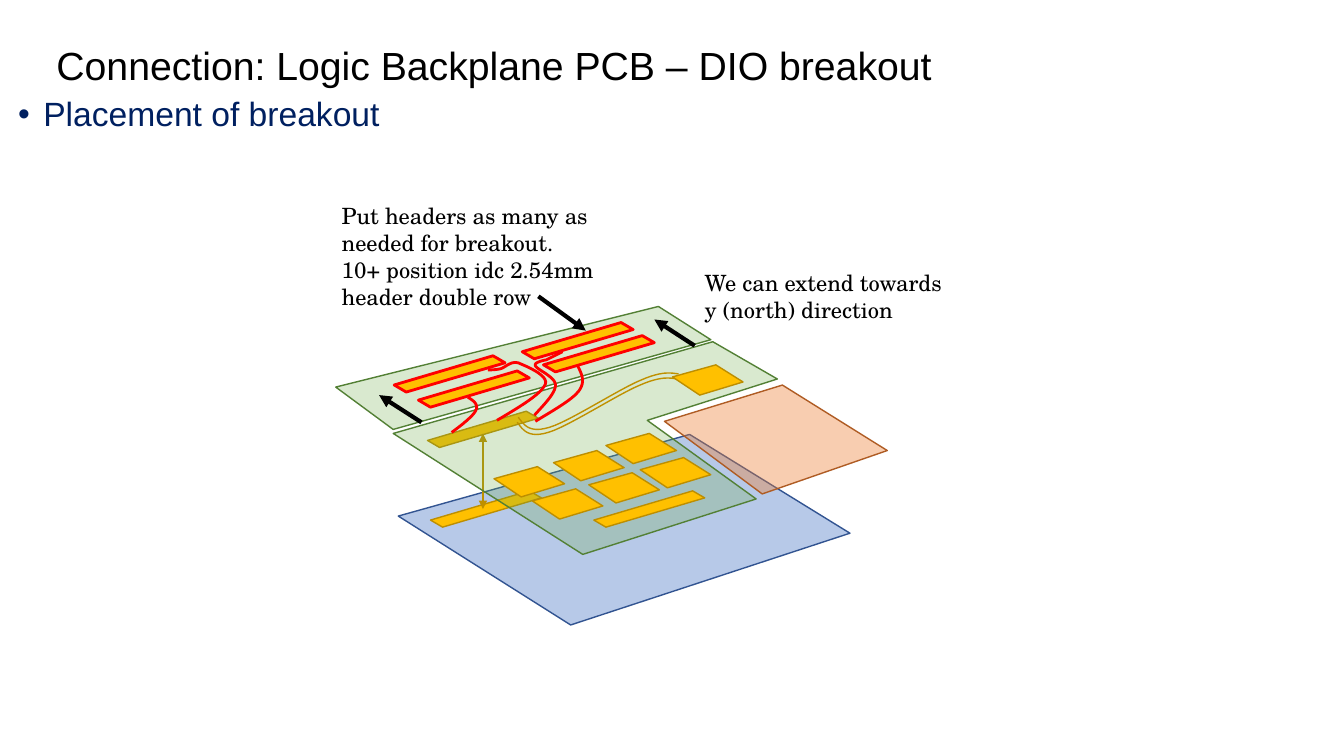
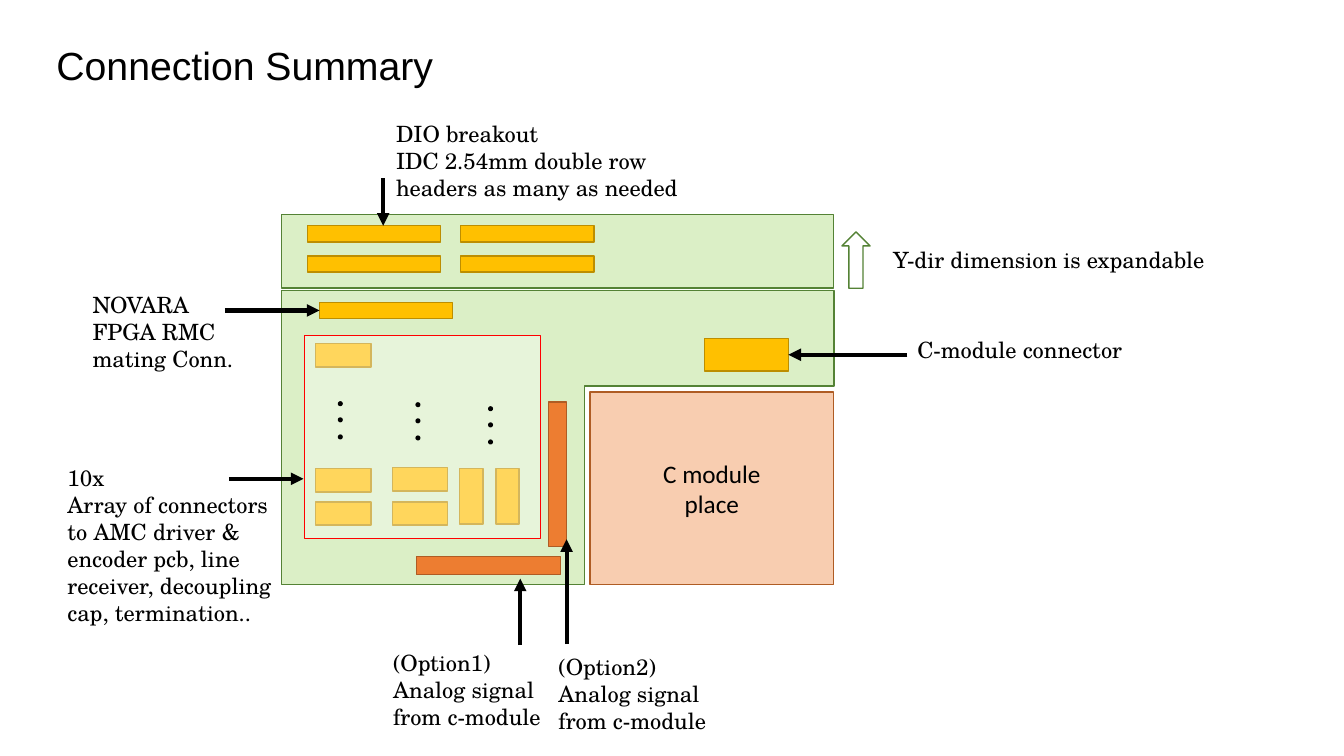
"""Builds the two connection slides of the logic backplane deck."""
from lxml import etree
from pptx import Presentation
from pptx import util as u
from pptx.dml.color import RGBColor
from pptx.enum import shapes, text
from pptx.oxml.ns import qn

PX = u.Inches(0.01)

BLACK, WHITE, RED, NAVY = "000000", "FFFFFF", "FF0000", "002060"
GOLD, GOLD_EDGE, WIRE = "FFC000", "BD8E00", "BF9000"
BLUE, BLUE_EDGE = "4472C4", "325491"
ORANGE, ORANGE_EDGE = "ED7D31", "AF5C24"
GREEN, GREEN_EDGE = "70AD47", "538035"
LIME, LIME_EDGE = "92D050", "548235"

PAD = [(0, 12), (27, 30), (70, 17), (43, 0)]
STRIP = [(0, 29), (98, 0), (110, 7), (12, 36)]


def rgb(code):
    return RGBColor.from_string(code)


def px(*lengths):
    return [round(length * PX) for length in lengths]


def write(frame, words, size=16, font="TeX Gyre Schola", color=BLACK,
          align=text.PP_ALIGN.LEFT, anchor=text.MSO_ANCHOR.TOP, spacing=1.0):
    frame.word_wrap = True
    frame.auto_size = text.MSO_AUTO_SIZE.NONE
    frame.vertical_anchor = anchor
    for index, line in enumerate(words.split("\n")):
        para = frame.add_paragraph() if index else frame.paragraphs[0]
        para.text = line
        para.alignment = align
        para.line_spacing = spacing
        para.space_before = u.Pt(0)
        for span in para.runs:
            span.font.size = u.Pt(size)
            span.font.name = font
            span.font.color.rgb = rgb(color)


def bezier(start, segments, steps=12):
    points = [start]
    for first, second, end in segments:
        origin = points[-1]
        for step in range(1, steps + 1):
            t = step / steps
            s = 1 - t
            points.append(tuple(
                s**3 * a + 3 * s * s * t * b + 3 * s * t * t * c + t**3 * d
                for a, b, c, d in zip(origin, first, second, end)))
    return points


class Sheet:
    def __init__(self):
        self.deck = Presentation()
        self.deck.slide_width, self.deck.slide_height = px(1333, 750)
        self.page = None

    def start(self, title, layout):
        self.page = self.deck.slides.add_slide(self.deck.slide_layouts[layout])
        box = self.page.shapes.title
        self.place(box, 46, 39, 1240, 57)
        write(box.text_frame, title, size=28, font="Arial", spacing=0.9,
              anchor=text.MSO_ANCHOR.MIDDLE)

    def place(self, box, *area):
        box.left, box.top, box.width, box.height = px(*area)

    def bullets(self, words, *area):
        box = self.page.placeholders[1]
        self.place(box, *area)
        write(box.text_frame, words, size=24, font="Arial", color=NAVY, spacing=0.9)
        for para in box.text_frame.paragraphs:
            props = para._p.get_or_add_pPr()
            props.set("marL", str(25 * PX))
            props.set("indent", str(-25 * PX))
            etree.SubElement(props, qn("a:buFont")).set("typeface", "Arial")
            etree.SubElement(props, qn("a:buChar")).set("char", "•")

    def note(self, words, *area):
        box = self.page.shapes.add_textbox(*px(*area))
        write(box.text_frame, words)

    def paint(self, shape, fill, edge, width=1, opacity=None):
        shape.shadow.inherit = False
        if fill:
            shape.fill.solid()
            shape.fill.fore_color.rgb = rgb(fill)
        else:
            shape.fill.background()
        if opacity:
            color = shape.element.spPr.find(qn("a:solidFill")).find(qn("a:srgbClr"))
            etree.SubElement(color, qn("a:alpha")).set("val", str(opacity * 1000))
        if edge:
            shape.line.color.rgb = rgb(edge)
            shape.line.width = u.Pt(width)
        else:
            shape.line.fill.background()
        return shape

    def shape(self, area, fill=GOLD, edge=GOLD_EDGE, kind="RECTANGLE", **style):
        preset = getattr(shapes.MSO_SHAPE, kind)
        shape = self.page.shapes.add_shape(preset, *px(*area))
        return self.paint(shape, fill, edge, **style)

    def outline(self, points, fill=None, edge=GOLD_EDGE, **style):
        corners = [px(*point) for point in points]
        builder = self.page.shapes.build_freeform(*corners[0], scale=1.0)
        builder.add_line_segments(corners[1:], close=bool(fill))
        return self.paint(builder.convert_to_shape(), fill, edge, **style)

    def connector(self, form, x, y, **style):
        self.outline([(x + dx, y + dy) for dx, dy in form], GOLD, **style)

    def wire(self, start, *segments, edge=RED, width=2):
        self.outline(bezier(start, segments), edge=edge, width=width)

    def arrow(self, start, end, color=BLACK, width=3, both=False, target=None, side=0):
        line = self.page.shapes.add_connector(
            shapes.MSO_CONNECTOR.STRAIGHT, *px(*start, *end))
        if target is not None:
            line.end_connect(target, side)
        line.line.color.rgb = rgb(color)
        line.line.width = u.Pt(width)
        props = line.element.spPr
        for tip in ["headEnd", "tailEnd"] if both else ["tailEnd"]:
            etree.SubElement(props.find(qn("a:ln")), qn("a:" + tip)).set("type", "triangle")
        etree.SubElement(props, qn("a:effectLst"))


def breakout_slide(sheet):
    sheet.start("Connection: Logic Backplane PCB – DIO breakout", 1)
    sheet.bullets("Placement of breakout", 8, 92, 1240, 565)

    sheet.outline([(395, 512), (566, 620), (843, 529), (684, 431)],
                  BLUE, BLUE_EDGE, opacity=38)
    for x, y in [(427, 487), (424, 408)]:
        sheet.connector(STRIP, x, y)
    sheet.arrow((479, 430), (479, 505), color=WIRE, width=2, both=True)
    sheet.outline([(659, 418), (776, 382), (880, 447), (756, 490)],
                  ORANGE, ORANGE_EDGE, opacity=38)
    sheet.outline([(390, 430), (578, 550), (750, 495), (642, 417), (771, 376), (707, 339)],
                  GREEN, GREEN_EDGE, opacity=26)

    cable = [(513, 419), (519, 427), (524, 435), (544, 429), (564, 423),
             (613, 391), (635, 382), (656, 373), (664, 375), (672, 376)]
    for dx, dy in [(0, 0), (1, -5)]:
        start, *rest = [(x + dx, y + dy) for x, y in cable]
        sheet.wire(start, rest[:3], rest[3:6], rest[6:], edge=WIRE, width=1)
    for x, y in [(667, 362), (528, 485), (584, 469), (635, 454),
                 (490, 463), (549, 447), (601, 430)]:
        sheet.connector(PAD, x, y)

    sheet.outline([(390, 426), (333, 384), (653, 304), (705, 337)],
                  GREEN, GREEN_EDGE, opacity=26)
    sheet.arrow((418, 419), (376, 392))
    sheet.arrow((689, 343), (649, 317))
    sheet.note("We can extend towards\vy (north) direction", 689, 262, 338, 64)

    sheet.connector(STRIP, 589, 487)
    for x, y in [(391, 353), (415, 368), (518, 320), (539, 333)]:
        sheet.connector(STRIP, x, y, edge=RED, width=2)
    sheet.wire((448, 429), [(459, 421), (470, 412), (472, 407)],
               [(475, 401), (469, 397), (464, 394)])
    sheet.wire((493, 417), [(515, 404), (537, 391), (541, 381)],
               [(544, 372), (521, 363), (514, 360)],
               [(506, 358), (501, 365), (496, 366)],
               [(491, 367), (487, 367), (484, 367)])
    sheet.wire((530, 412), [(540, 401), (551, 390), (551, 382)],
               [(551, 374), (533, 367), (531, 363)],
               [(529, 359), (542, 357), (542, 357)],
               [(542, 357), (558, 349), (558, 349)])
    sheet.wire((531, 418), [(549, 407), (567, 397), (574, 388)],
               [(581, 379), (577, 371), (573, 363)])
    sheet.arrow((534, 294), (581, 328))
    sheet.note("Put headers as many as needed for breakout.\n"
               "10+ position idc 2.54mm header double row", 329, 196, 338, 118)


def summary_slide(sheet):
    sheet.start("Connection Summary", 5)

    sheet.outline([(279, 288), (279, 580), (580, 580), (580, 383), (827, 383), (827, 288)],
                  LIME, LIME_EDGE, opacity=32)
    place = sheet.shape((585, 389, 242, 191), ORANGE, ORANGE_EDGE, opacity=38)
    write(place.text_frame, "C module\nplace", size=18, font="Calibri",
          align=text.PP_ALIGN.CENTER, anchor=text.MSO_ANCHOR.MIDDLE)
    module = sheet.shape((699, 336, 83, 32))
    sheet.note("C-module connector", 900, 329, 338, 37)
    sheet.arrow((900, 352), (782, 352), target=module, side=3)

    sheet.shape((835, 230, 28, 56), WHITE, LIME_EDGE, kind="UP_ARROW")
    sheet.note("Y-dir dimension is expandable", 876, 239, 338, 37)
    sheet.shape((279, 213, 548, 73), LIME, LIME_EDGE, opacity=32)

    mating = sheet.shape((317, 300, 132, 16))
    sheet.arrow((223, 308), (317, 308), target=mating, side=1)
    sheet.note("NOVARA\nFPGA RMC mating Conn.", 82, 284, 170, 91)

    sheet.shape((413, 552, 143, 18), ORANGE, ORANGE_EDGE)
    sheet.shape((544, 399, 18, 143), ORANGE, ORANGE_EDGE)
    for number, x, y, start, end in [(1, 380, 639, (516, 640), (516, 574)),
                                     (2, 544, 643, (562, 639), (562, 535))]:
        sheet.arrow(start, end)
        sheet.note(f"(Option{number})\nAnalog signal from c-module", x, y, 170, 91)

    for x, y in [(313, 341), (313, 465), (313, 498), (389, 464), (389, 498)]:
        sheet.shape((x, y, 55, 23))
    for x in (456, 492):
        sheet.shape((x, 465, 23, 55))
    sheet.arrow((227, 475), (301, 475))
    sheet.note("10x\nArray of connectors to AMC driver & encoder pcb, "
               "line receiver, decoupling cap, termination..", 57, 456, 228, 172)
    sheet.shape((302, 333, 234, 201), WHITE, RED, width=0.75, opacity=36)

    for x in (305, 457):
        for y in (224, 254):
            sheet.shape((x, y, 132, 16))
    for x, y in [(335, 398), (412, 399), (484, 403)]:
        for drop in (0, 16, 33):
            sheet.shape((x, y + drop, 5, 5), BLACK, None, kind="OVAL")
    sheet.arrow((380, 177), (380, 224))
    sheet.note("DIO breakout\nIDC 2.54mm double row headers as many as needed",
               383, 114, 336, 91)


def main():
    sheet = Sheet()
    breakout_slide(sheet)
    summary_slide(sheet)
    sheet.deck.save("out.pptx")


if __name__ == "__main__":
    main()
